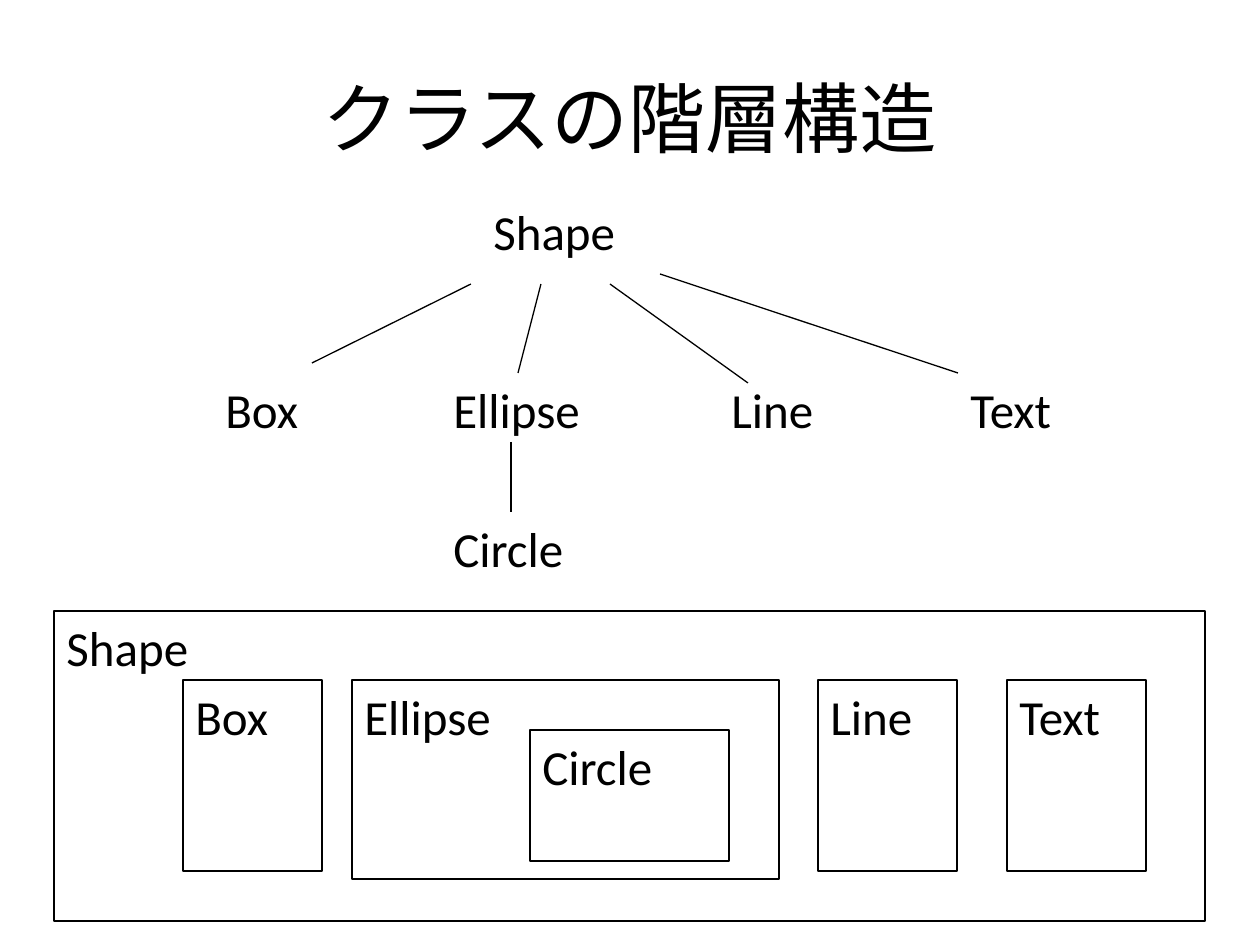
"""Build a slide showing a class hierarchy as a tree and as nested boxes."""
from lxml import etree
from pptx import Presentation
from pptx import util as u
from pptx.dml.color import RGBColor
from pptx.enum import shapes, text
from pptx.oxml.ns import qn

FONT = "Calibri"
COLORS = {"ink": "000000", "paper": "FFFFFF"}
EMU_PER_PX = 914400 / 126

LABEL_HEIGHT = 72
CHILD_TOP = 373
LABELS = [
    ("Shape", 481, 195, 149),
    ("Box", 213, CHILD_TOP, 100),
    ("Ellipse", 441, CHILD_TOP, 154),
    ("Line", 719, CHILD_TOP, 108),
    ("Text", 958, CHILD_TOP, 107),
    ("Circle", 441, 512, 136),
]
BRANCHES = [
    (471, 284, 312, 363),
    (541, 284, 518, 373),
    (610, 284, 748, 383),
    (660, 274, 958, 373),
    (511, 442, 511, 512),
]
NESTED_TOP = 680
NESTED = [
    ("Shape", 54, 611, 1151, 310),
    ("Box", 183, NESTED_TOP, 139, 191),
    ("Ellipse", 352, NESTED_TOP, 427, 199),
    ("Line", 818, NESTED_TOP, 139, 191),
    ("Text", 1007, NESTED_TOP, 139, 191),
    ("Circle", 530, 730, 199, 131),
]


def px(*lengths):
    return [u.Emu(round(length * EMU_PER_PX)) for length in lengths]


def color(name):
    return RGBColor.from_string(COLORS[name])


def write(box, words, size=28, align=text.PP_ALIGN.LEFT):
    para = box.text_frame.paragraphs[0]
    para.alignment = align
    span = para.add_run()
    span.text = words
    span.font.name = FONT
    span.font.size = u.Pt(size)
    span.font.color.rgb = color("ink")


def outline(item):
    item.line.color.rgb = color("ink")
    item.line.width = u.Pt(0.75)


def add_title(page, words):
    box = page.shapes.add_textbox(*px(63, 38, 1134, 158))
    box.text_frame.word_wrap = True
    box.text_frame.vertical_anchor = text.MSO_ANCHOR.MIDDLE
    write(box, words, 44, text.PP_ALIGN.CENTER)


def add_label(page, words, left, top, width):
    box = page.shapes.add_textbox(*px(left, top, width, LABEL_HEIGHT))
    box.text_frame.word_wrap = False
    box.text_frame.auto_size = text.MSO_AUTO_SIZE.SHAPE_TO_FIT_TEXT
    write(box, words)


def add_branch(page, *ends):
    branch = page.shapes.add_connector(shapes.MSO_CONNECTOR.STRAIGHT, *px(*ends))
    outline(branch)
    etree.SubElement(branch._element.spPr, qn("a:effectLst"))


def add_class_box(page, words, *frame):
    box = page.shapes.add_shape(shapes.MSO_SHAPE.RECTANGLE, *px(*frame))
    box.shadow.inherit = False
    box.fill.background()
    outline(box)
    box.text_frame.word_wrap = True
    box.text_frame.vertical_anchor = text.MSO_ANCHOR.TOP
    write(box, words)


def main():
    deck = Presentation()
    deck.slide_width, deck.slide_height = px(1260, 945)
    page = deck.slides.add_slide(deck.slide_layouts[6])
    page.background.fill.solid()
    page.background.fill.fore_color.rgb = color("paper")
    add_title(page, "クラスの階層構造")
    for label in LABELS:
        add_label(page, *label)
    for ends in BRANCHES:
        add_branch(page, *ends)
    for nested in NESTED:
        add_class_box(page, *nested)
    deck.save("out.pptx")


if __name__ == "__main__":
    main()
